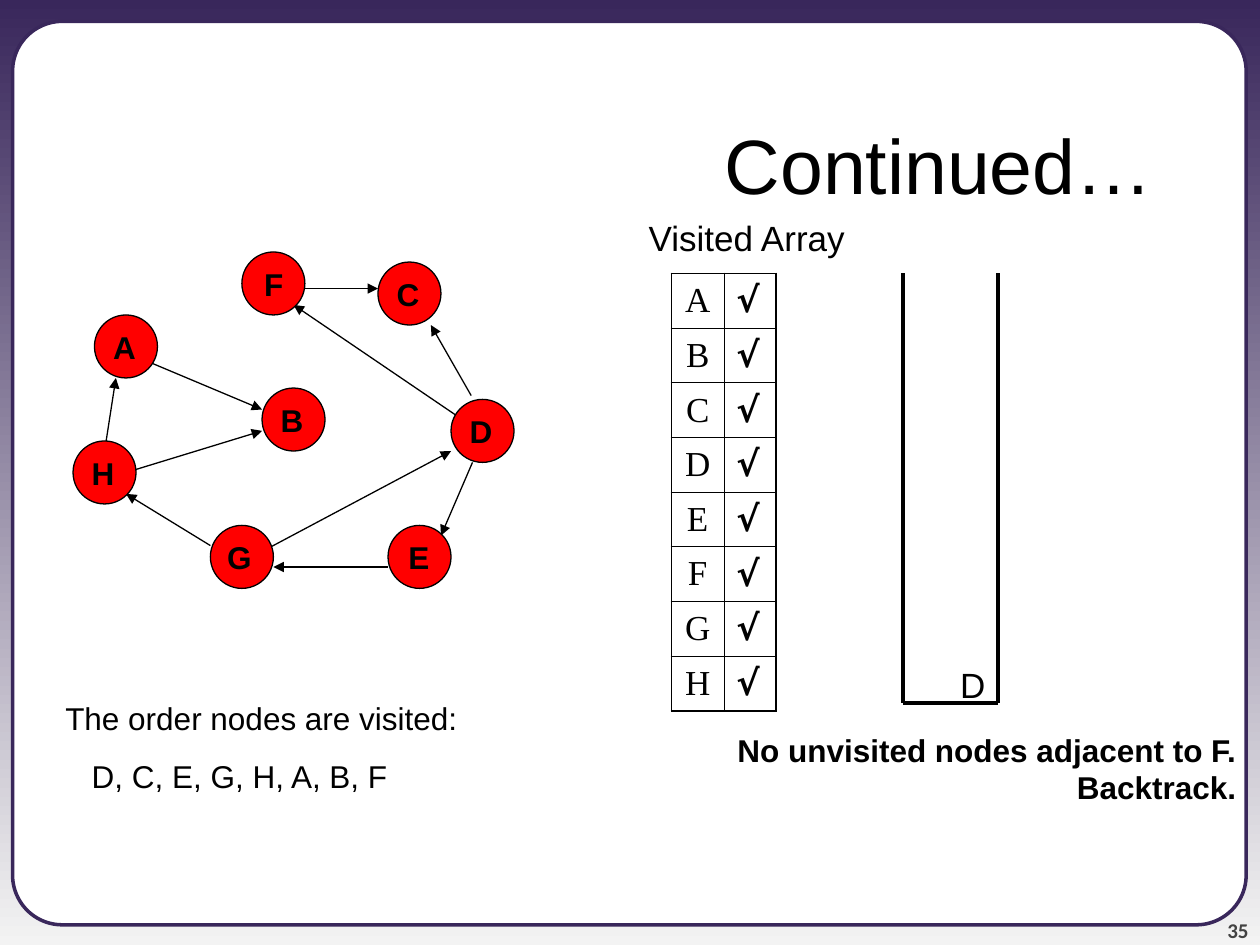
from dataclasses import dataclass
from typing import NamedTuple

from lxml import etree
from pptx import Presentation
from pptx import util as u
from pptx.dml.color import RGBColor
from pptx.enum import shapes, text
from pptx.oxml.ns import qn


@dataclass(frozen=True)
class Theme:
    ink: str = "000000"
    paper: str = "FFFFFF"
    frame: str = "39275B"
    fade: str = "F3F3F3"
    node: str = "FF0000"
    page: str = "424242"
    sans: str = "Arial"
    serif: str = "Times New Roman"
    tick: str = "DejaVu Sans"
    foot: str = "Calibri"
    title: float = 44
    label: float = 20
    body: float = 18
    small: float = 12
    thin: float = 0.75
    thick: float = 2.25
    outer: float = 1.08
    inner: float = 0.45


class Node(NamedTuple):
    name: str
    left: float
    top: float


class Edge(NamedTuple):
    x1: float
    y1: float
    x2: float
    y2: float


T = Theme()
LEFT, MID, RIGHT = text.PP_ALIGN.LEFT, text.PP_ALIGN.CENTER, text.PP_ALIGN.RIGHT
TOP, CENTER, BASE = (text.MSO_ANCHOR.TOP, text.MSO_ANCHOR.MIDDLE,
                     text.MSO_ANCHOR.BOTTOM)
SIZE = 0.5

NODES = [
    Node("A", 0.75, 2.5), Node("H", 0.58, 3.5), Node("B", 2.08, 3.08),
    Node("F", 1.92, 2), Node("E", 3.08, 4.17), Node("D", 3.58, 3.17),
    Node("C", 3, 2.08), Node("G", 1.67, 4.17),
]
EDGES = [
    Edge(3.67, 3.33, 2.33, 2.42), Edge(3.75, 3.67, 3.5, 4.25),
    Edge(1, 3.75, 2.08, 3.42), Edge(2, 4.42, 3.58, 3.58),
    Edge(0.83, 3.58, 0.92, 3), Edge(1.08, 2.83, 2.08, 3.25),
    Edge(3.74, 3.14, 3.42, 2.58), Edge(3.08, 4.5, 2.17, 4.5),
    Edge(1.67, 4.33, 1, 3.92), Edge(2.42, 2.29, 3, 2.29),
]
STACK = [
    Edge(7.17, 2.17, 7.17, 5.58), Edge(7.92, 2.17, 7.92, 5.58),
    Edge(7.17, 5.58, 7.92, 5.58),
]


def tint(code: str) -> RGBColor:
    return RGBColor.from_string(code)


def write(frame, words: str, *, size: float = T.body, font: str = T.sans,
          color: str = T.ink, bold: bool = False, align=LEFT, anchor=TOP,
          wrap: bool = True, gap: float = 0, inset: bool = True) -> None:
    frame.word_wrap = wrap
    frame.vertical_anchor = anchor
    if not inset:
        frame.margin_left = frame.margin_right = 0
        frame.margin_top = frame.margin_bottom = 0
    for i, line in enumerate(words.split("\n")):
        para = frame.add_paragraph() if i else frame.paragraphs[0]
        para.alignment = align
        if i:
            para.space_before = u.Pt(gap)
        run = para.add_run()
        run.text = line
        run.font.name, run.font.size, run.font.bold = font, u.Pt(size), bold
        run.font.color.rgb = tint(color)


def add_text(slide, words: str, left: float, top: float, width: float,
             height: float, **style):
    box = slide.shapes.add_textbox(*map(u.Inches, (left, top, width, height)))
    write(box.text_frame, words, **style)
    return box.text_frame


def add_shape(slide, kind, left: float, top: float, width: float,
              height: float, fill: str, line: str, weight: float):
    shape = slide.shapes.add_shape(
        kind, *map(u.Inches, (left, top, width, height)))
    shape.shadow.inherit = False
    shape.fill.solid()
    shape.fill.fore_color.rgb = tint(fill)
    shape.line.color.rgb = tint(line)
    shape.line.width = u.Pt(weight)
    return shape


def add_edge(slide, edge: Edge, weight: float, arrow: bool = False) -> None:
    link = slide.shapes.add_connector(
        shapes.MSO_CONNECTOR.STRAIGHT, *map(u.Inches, edge))
    link.line.color.rgb = tint(T.ink)
    link.line.width = u.Pt(weight)
    props = link._element.spPr
    if arrow:
        etree.SubElement(props.find(qn("a:ln")), qn("a:tailEnd"),
                         type="triangle")
    etree.SubElement(props, qn("a:effectLst"))


def add_node(slide, node: Node) -> None:
    disc = add_shape(slide, shapes.MSO_SHAPE.OVAL, node.left, node.top,
                     SIZE, SIZE, T.node, T.ink, T.thin)
    write(disc.text_frame, node.name, bold=True, align=RIGHT, anchor=CENTER,
          wrap=False)


def set_edges(cell, weights: dict[str, float]) -> None:
    props = cell._tc.get_or_add_tcPr()
    for i, (side, weight) in enumerate(weights.items()):
        line = etree.Element(qn(f"a:ln{side}"), w=str(int(u.Pt(weight))))
        fill = etree.SubElement(line, qn("a:solidFill"))
        etree.SubElement(fill, qn("a:srgbClr"), val=T.ink)
        props.insert(i, line)


def add_array(slide, names: str) -> None:
    last, high, wide = len(names) - 1, 3.47, 0.83
    table = slide.shapes.add_table(
        len(names), 2, *map(u.Inches, (5.33, 2.17, wide, high))).table
    table.first_row = table.horz_banding = False
    for col in table.columns:
        col.width = u.Inches(wide / 2)
    for r, name in enumerate(names):
        table.rows[r].height = u.Inches(high / len(names))
        for c, word in enumerate((name, "√")):
            cell = table.cell(r, c)
            cell.fill.background()
            cell.vertical_anchor = CENTER
            write(cell.text_frame, word, size=T.label, anchor=None, wrap=None,
                  font=T.tick if c else T.serif, bold=bool(c),
                  align=LEFT if c else MID)
            rim = {"L": c == 0, "R": c == 1, "T": r == 0, "B": r == last}
            set_edges(cell, {side: T.outer if out else T.inner
                             for side, out in rim.items()})


def add_frame(slide) -> None:
    fill = slide.background.fill
    fill.gradient()
    fill.gradient_angle = 270
    for stop, code in zip(fill.gradient_stops, (T.frame, T.fade)):
        stop.color.rgb = tint(code)
    panel = add_shape(slide, shapes.MSO_SHAPE.ROUNDED_RECTANGLE,
                      0.1, 0.17, 9.79, 7.17, T.paper, T.frame, 2)
    panel.adjustments[0] = 0.055
    add_text(slide, "35", 9.08, 7.08, 0.83, 0.4, size=T.small, font=T.foot,
             color=T.page, bold=True, align=RIGHT, anchor=BASE, inset=False)


def main() -> None:
    deck = Presentation()
    deck.slide_width, deck.slide_height = u.Inches(10), u.Inches(7.5)
    slide = deck.slides.add_slide(deck.slide_layouts[6])
    add_frame(slide)
    for edge in EDGES:
        add_edge(slide, edge, T.thin, arrow=True)
    for node in NODES:
        add_node(slide, node)
    add_text(slide, "Continued…", 0.75, 0.67, 8.5, 1.25, size=T.title,
             align=RIGHT, anchor=CENTER)
    add_text(slide, "Visited Array", 5.05, 1.67, 1.83, 0.44, size=T.label)
    add_array(slide, "ABCDEFGH")
    for side in STACK:
        add_edge(slide, side, T.thick)
    add_text(slide, "No unvisited nodes adjacent to F. Backtrack.",
             5.08, 5.75, 4.83, 0.7, bold=True, align=RIGHT)
    add_text(slide, "D", 7.17, 2.17, 0.75, 3.48, size=T.label, align=RIGHT,
             anchor=BASE)
    order = add_text(slide,
                     "The order nodes are visited:\nD, C, E, G, H, A, B, F",
                     0.42, 5.5, 4.5, 0.86, gap=11.2)
    order.paragraphs[1]._p.get_or_add_pPr().set(
        "marL", str(int(u.Inches(0.21))))
    deck.save("out.pptx")


if __name__ == "__main__":
    main()
